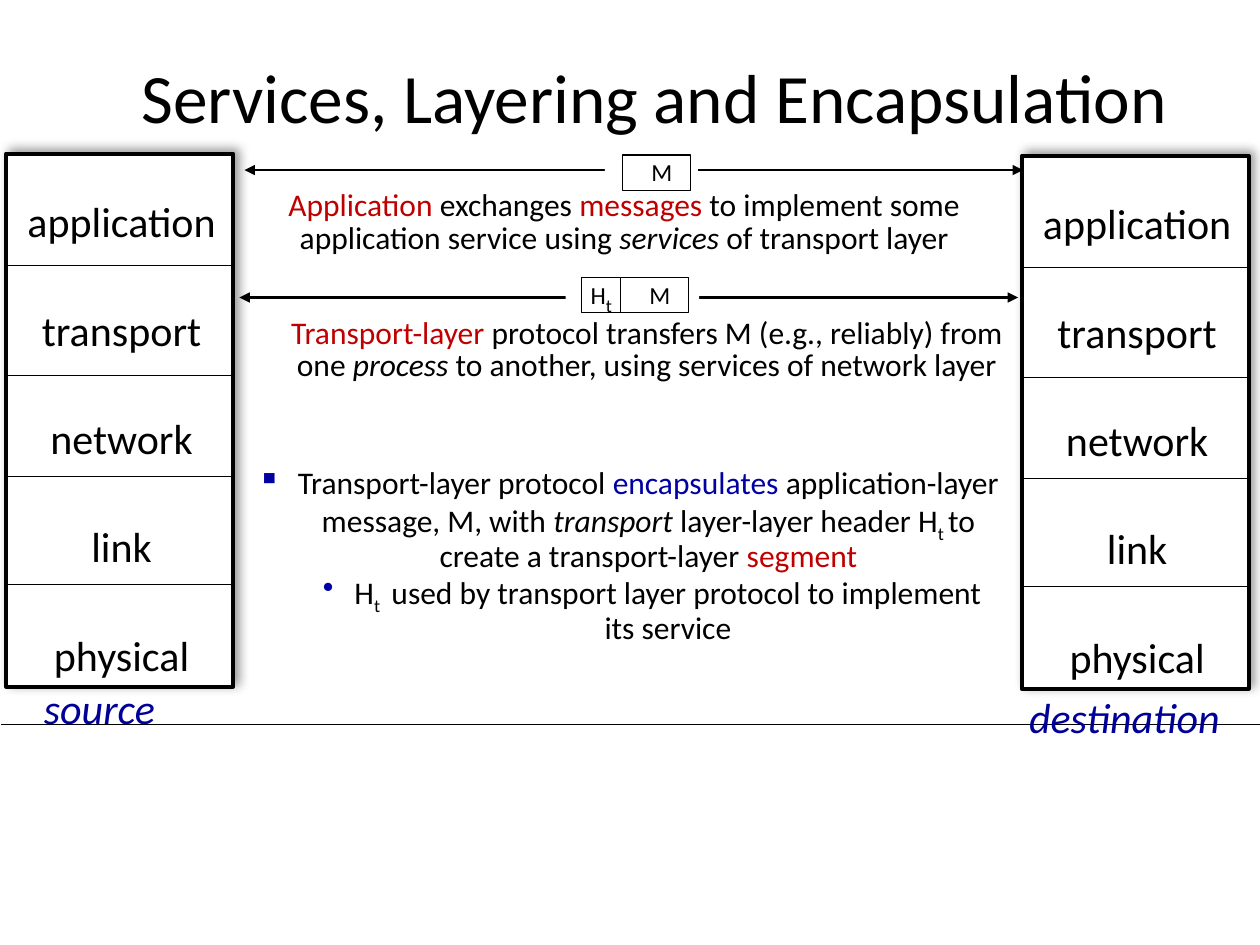
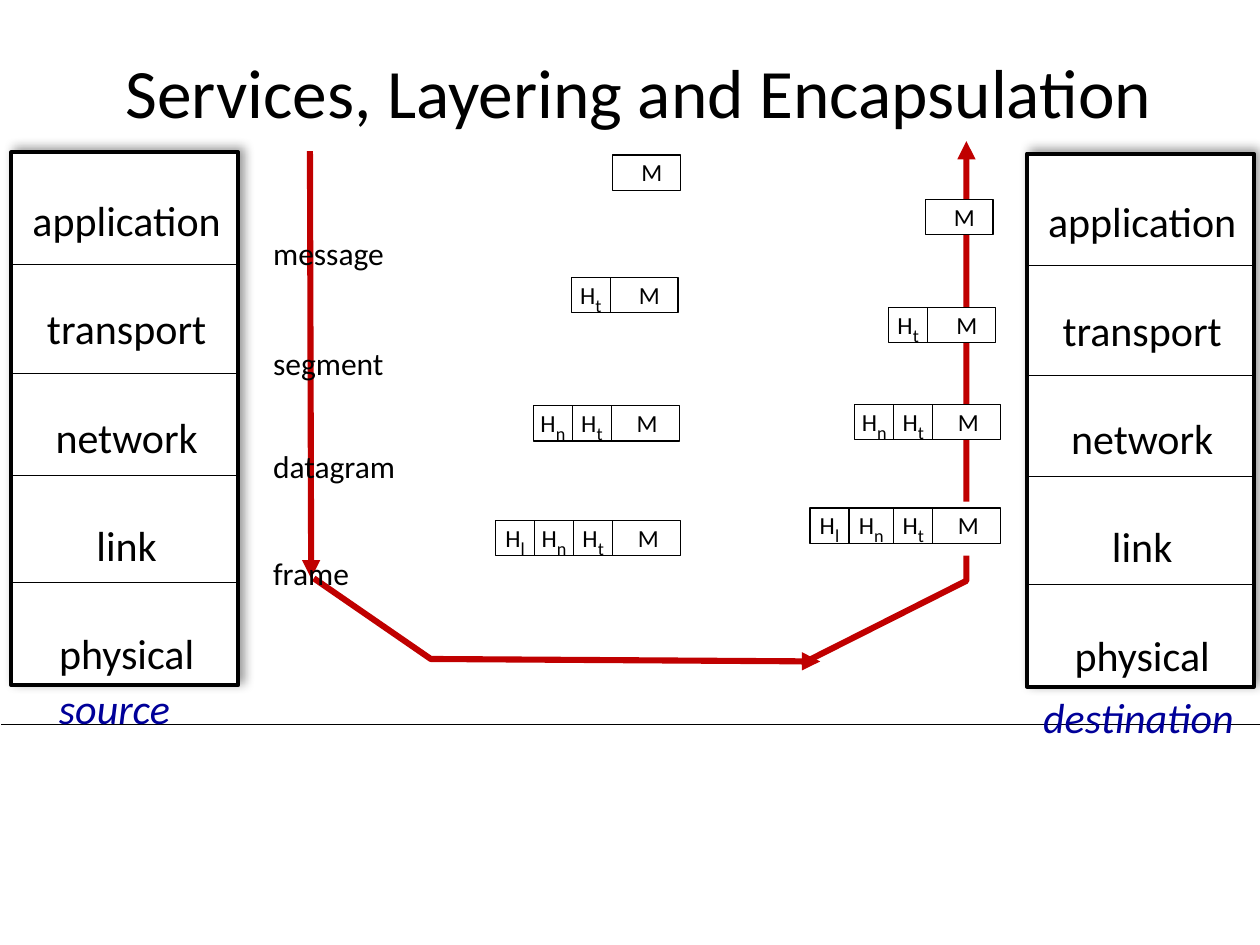
from lxml import etree
from pptx import Presentation
from pptx.dml.color import RGBColor
from pptx.enum.shapes import MSO_CONNECTOR, MSO_SHAPE
from pptx.enum.text import MSO_ANCHOR, PP_ALIGN
from pptx.oxml.ns import qn
from pptx.util import Pt

RECTANGLE = MSO_SHAPE.RECTANGLE
STRAIGHT = MSO_CONNECTOR.STRAIGHT
LEFT, CENTER = PP_ALIGN.LEFT, PP_ALIGN.CENTER
TOP, MIDDLE = MSO_ANCHOR.TOP, MSO_ANCHOR.MIDDLE

FONT = "Calibri"
BLACK, WHITE = "000000", "FFFFFF"
RED, BLUE, CAPTION_BLUE = "C00000", "0000A3", "000099"
TITLE = "Services, Layering and Encapsulation"
LAYERS = ("application", "transport", "network", "link", "physical")
LAYER_RULES = (64, 126.5, 184.5, 246)
STACK_WIDTH, STACK_HEIGHT = 129.6, 304.6
CELL_HEIGHT, MESSAGE_WIDTH, HEADER_WIDTH = 20.2, 38.7, 22.3

ITALIC = {"italic": True}
SUBSCRIPT = {"subscript": True}


def color(hex_string):
    return RGBColor.from_string(hex_string)


def add_element(parent, tag, **attributes):
    element = etree.SubElement(parent, qn(tag))
    for name, value in attributes.items():
        element.set(name, str(value))
    return element


class LayeringDeck:
    """Holds the shared style and draws elements on the current slide."""

    def __init__(self):
        self.presentation = Presentation()
        self.presentation.slide_width = Pt(720)
        self.presentation.slide_height = Pt(540)
        self.slide = None

    def new_slide(self):
        layout = self.presentation.slide_layouts[6]
        self.slide = self.presentation.slides.add_slide(layout)
        self.line(0.7, 414, 720.7, 414)

    def title(self, left, top, width):
        self.text(left, top, width, 70.6, [[(TITLE, {})]], size=39.6,
                  align=CENTER, anchor=MIDDLE, spacing=0.9)

    def text(self, left, top, width, height, paragraphs, size=18, align=LEFT,
             anchor=TOP, spacing=None, inset=True, bullets=()):
        box = self.slide.shapes.add_textbox(Pt(left), Pt(top), Pt(width), Pt(height))
        frame = box.text_frame
        frame.word_wrap = True
        frame.vertical_anchor = anchor
        if not inset:
            frame.margin_left = frame.margin_right = 0
            frame.margin_top = frame.margin_bottom = 0
        for index, runs in enumerate(paragraphs):
            paragraph = frame.add_paragraph() if index else frame.paragraphs[0]
            paragraph.alignment = align
            if spacing:
                paragraph.line_spacing = spacing
            if bullets:
                self.bullet(paragraph, index, *bullets[index])
            for content, style in runs:
                self.run(paragraph, content, size, **style)

    def run(self, paragraph, content, size, fill=BLACK, italic=False, subscript=False):
        run = paragraph.add_run()
        run.text = content
        run.font.name = FONT
        run.font.size = Pt(size)
        run.font.italic = italic
        run.font.color.rgb = color(fill)
        if subscript:
            run.font._element.set("baseline", "-25000")

    def bullet(self, paragraph, level, character, margin, hanging):
        paragraph.level = level
        properties = paragraph._p.get_or_add_pPr()
        properties.set("marL", str(Pt(margin)))
        properties.set("indent", str(-Pt(hanging)))
        bullet_color = add_element(properties, "a:buClr")
        add_element(bullet_color, "a:srgbClr", val=BLUE)
        add_element(properties, "a:buChar", char=character)

    def rectangle(self, left, top, width, height, line_width=None, shadow=False):
        shape = self.slide.shapes.add_shape(
            RECTANGLE, Pt(left), Pt(top), Pt(width), Pt(height))
        shape.shadow.inherit = False
        shape.fill.solid()
        shape.fill.fore_color.rgb = color(WHITE)
        if line_width:
            shape.line.color.rgb = color(BLACK)
            shape.line.width = Pt(line_width)
        else:
            shape.line.fill.background()
        if shadow:
            effects = shape._element.spPr.find(qn("a:effectLst"))
            outer = add_element(effects, "a:outerShdw", blurRad=Pt(6), dist=Pt(3),
                                dir=315 * 60000, algn="bl", rotWithShape=0)
            shadow_color = add_element(outer, "a:srgbClr", val=BLACK)
            add_element(shadow_color, "a:alpha", val=40000)

    def line(self, x1, y1, x2, y2, width=0.5, arrows=False):
        connector = self.slide.shapes.add_connector(
            STRAIGHT, Pt(x1), Pt(y1), Pt(x2), Pt(y2))
        connector.line.color.rgb = color(BLACK)
        connector.line.width = Pt(width)
        add_element(connector._element.spPr, "a:effectLst")
        if arrows:
            outline = connector.line._get_or_add_ln()
            add_element(outline, "a:headEnd", type="triangle")
            add_element(outline, "a:tailEnd", type="triangle")

    def path_arrow(self, *points):
        start, *others = [(Pt(x), Pt(y)) for x, y in points]
        builder = self.slide.shapes.build_freeform(*start)
        builder.add_line_segments(others, close=False)
        shape = builder.convert_to_shape()
        shape.shadow.inherit = False
        shape.fill.background()
        shape.line.color.rgb = color(RED)
        shape.line.width = Pt(3.5)
        add_element(shape.line._get_or_add_ln(), "a:tailEnd", type="triangle")

    def caption(self, left, top, width, content):
        style = {"fill": CAPTION_BLUE, "italic": True}
        self.text(left, top, width, 36, [[(content, style)]], size=24)

    def stack(self, left, top):
        self.rectangle(left, top, STACK_WIDTH, STACK_HEIGHT, 2.25, shadow=True)
        self.text(left - 3.6, top - 12.6, 139, 317.5,
                  [[(layer, {})] for layer in LAYERS],
                  size=24, align=CENTER, spacing=2.15)
        for offset in LAYER_RULES:
            self.line(left - 1, top + offset, left + STACK_WIDTH - 0.5, top + offset)

    def packet(self, right, top, headers="", widths=(HEADER_WIDTH,) * 3):
        widths = widths[:len(headers)]
        left = right - MESSAGE_WIDTH - sum(widths)
        self.rectangle(left, top, right - left, CELL_HEIGHT, 0.75)
        for header, width in zip(headers, widths):
            self.cell_label(left, top, width, [("H", {}), (header, SUBSCRIPT)])
            left += width
            self.line(left, top, left, top + CELL_HEIGHT, 0.75)
        shift = 1 if len(headers) > 1 else 3
        self.cell_label(left + shift, top, MESSAGE_WIDTH, [("M", {})])

    def cell_label(self, left, top, width, runs):
        styled = [(content, style, 18 if style else 14) for content, style in runs]
        box = self.slide.shapes.add_textbox(Pt(left), Pt(top - 2), Pt(width), Pt(23.5))
        frame = box.text_frame
        frame.word_wrap = True
        frame.vertical_anchor = MIDDLE
        frame.margin_left = frame.margin_right = 0
        frame.margin_top = frame.margin_bottom = 0
        frame.paragraphs[0].alignment = CENTER
        for content, style, size in styled:
            self.run(frame.paragraphs[0], content, size, **style)


def build_transport_slide(deck):
    deck.new_slide()
    deck.title(28.1, 22.3, 691.9)
    deck.caption(18, 386.6, 86.4, "source")
    explanation = [
        [("Transport-layer protocol ", {}), ("encapsulates ", {"fill": BLUE}),
         ("application-layer message, M, with ", {}), ("transport", ITALIC),
         (" layer-layer header H", {}), ("t ", SUBSCRIPT),
         ("to create a transport-layer ", {}), ("segment", {"fill": RED})],
        [("H", {}), ("t ", SUBSCRIPT),
         (" used by transport layer protocol to implement its service", {})],
    ]
    deck.text(139.7, 263.5, 438.6, 125.3, explanation, align=CENTER, spacing=0.9,
              bullets=(("▪", 23, 23), ("•", 45.4, 18)))
    deck.stack(3.6, 87.8)
    deck.caption(581, 391.7, 134.6, "destination")
    deck.stack(583.9, 89)

    deck.line(136.8, 170, 581.8, 170, 1.5, arrows=True)
    transport = [("Transport-layer ", {"fill": RED}),
                 ("protocol transfers M (e.g., reliably) from one ", {}),
                 ("process", ITALIC),
                 (" to another, using services of network layer", {})]
    deck.text(148.3, 178.6, 442.8, 63.4, [transport], align=CENTER, spacing=0.85)
    deck.rectangle(323.3, 151.2, 76.3, 31)
    deck.packet(393.4, 158.4, "t")

    application = [("Application ", {"fill": RED}), ("exchanges ", {}),
                   ("messages", {"fill": RED}),
                   (" to implement some application service using ", {}),
                   ("services", ITALIC), (" of transport layer", {})]
    deck.text(134.6, 105.8, 444.2, 45.4, [application], align=CENTER, spacing=0.85)
    deck.line(139.7, 97.2, 584.6, 97.2, 1.5, arrows=True)
    deck.rectangle(345.6, 82, 53.3, 31)
    deck.packet(394.6, 88.6)


def build_encapsulation_slide(deck):
    deck.new_slide()
    deck.path_arrow((177.1, 86.4), (177.8, 330.5))
    deck.title(7.9, 19.4, 714.2)
    deck.caption(26.6, 386.6, 86.4, "source")
    deck.stack(6.5, 87)
    deck.caption(589, 391.7, 134.6, "destination")
    deck.stack(586.8, 87.8)

    for right, top, headers in ((387.4, 158.4, "t"), (388.8, 88.6, ""),
                                (388.1, 231.8, "nt"), (388.8, 297.4, "lnt")):
        deck.packet(right, top, headers)

    deck.path_arrow((457.9, 379.4), (552.2, 331.9), (552.2, 80.6))
    deck.rectangle(483.1, 286.6, 95, 31)
    deck.packet(571.7, 290.2, "lnt", (22.3, 25.6, 22.3))
    for right, top, headers in ((571.7, 231.1, "nt"), (568.8, 175.7, "t"),
                                (567.4, 113.8, "")):
        deck.packet(right, top, headers)

    deck.path_arrow((179.3, 330.5), (246.2, 376.6), (468.7, 378))
    for unit, top in (("message", 130.3), ("segment", 193),
                      ("datagram", 252), ("frame", 313.2)):
        deck.text(149, top, 93, 28.8, [[(unit, {})]])


def main():
    deck = LayeringDeck()
    build_transport_slide(deck)
    build_encapsulation_slide(deck)
    deck.presentation.save("out.pptx")


if __name__ == "__main__":
    main()
